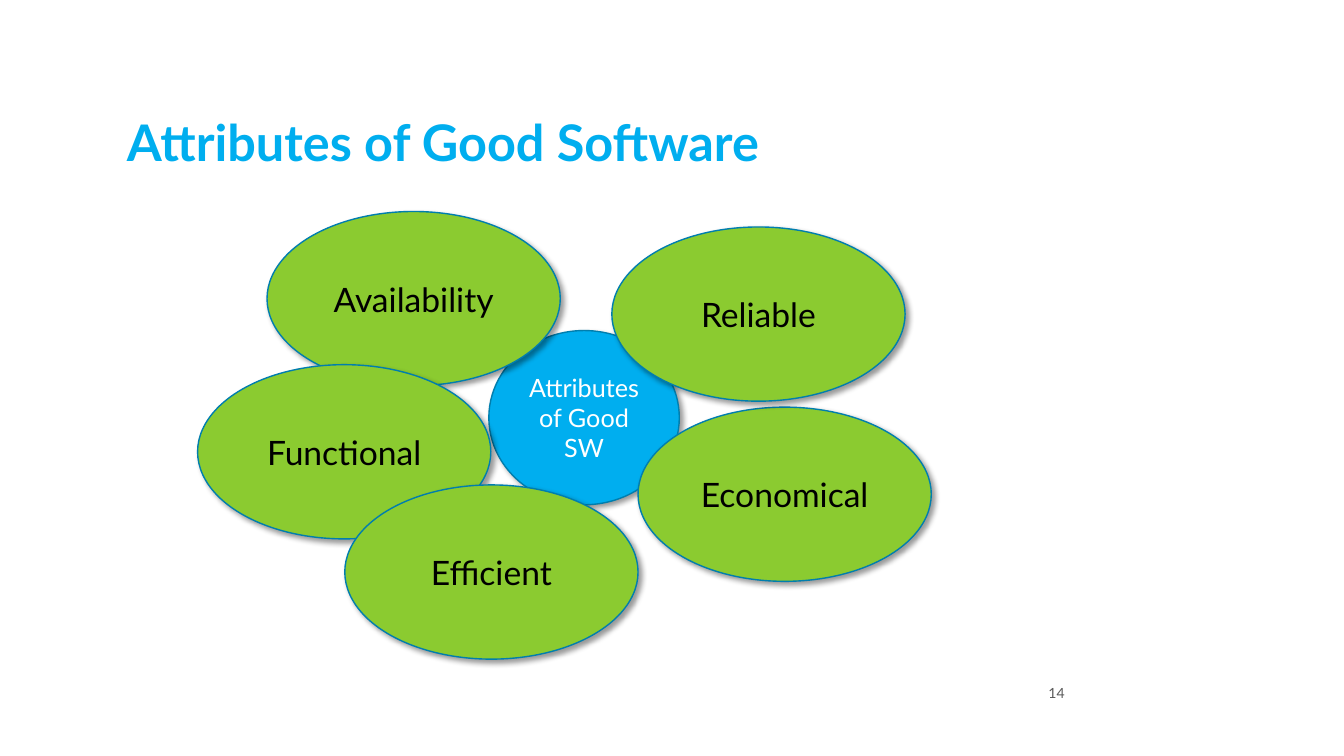
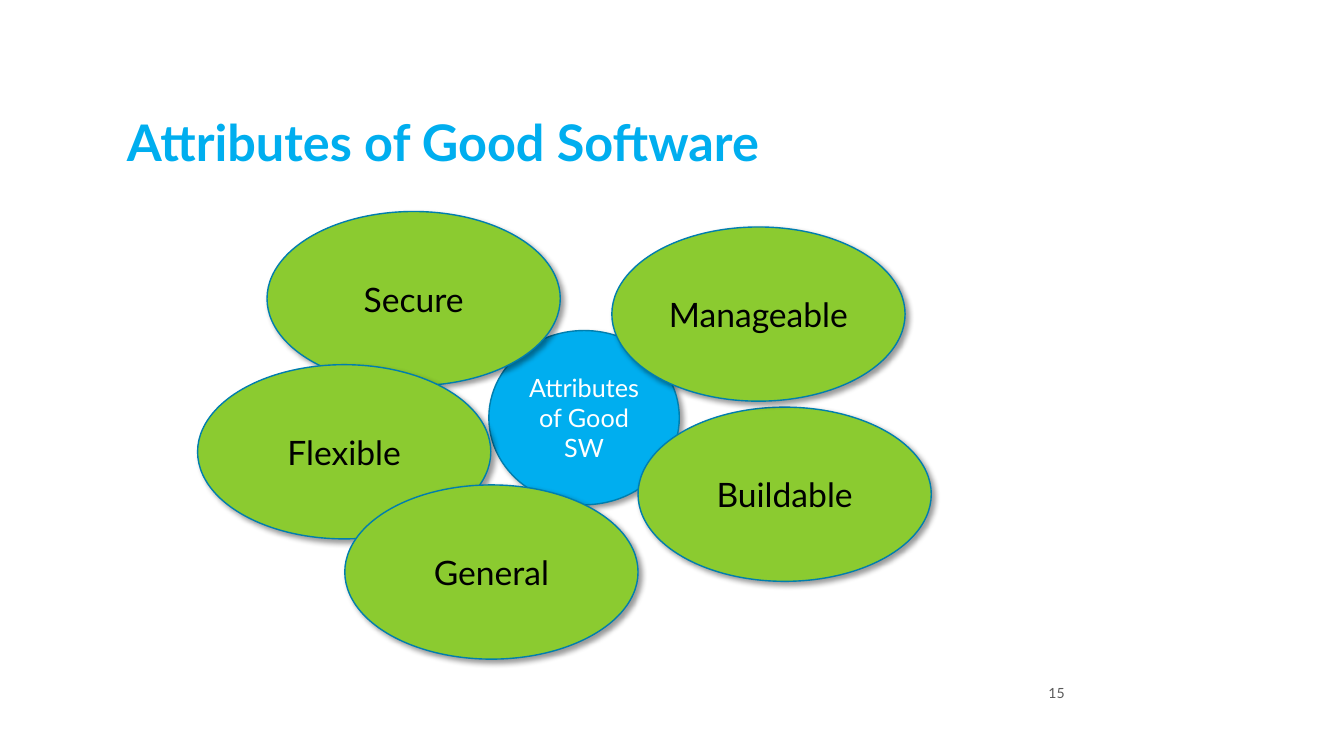
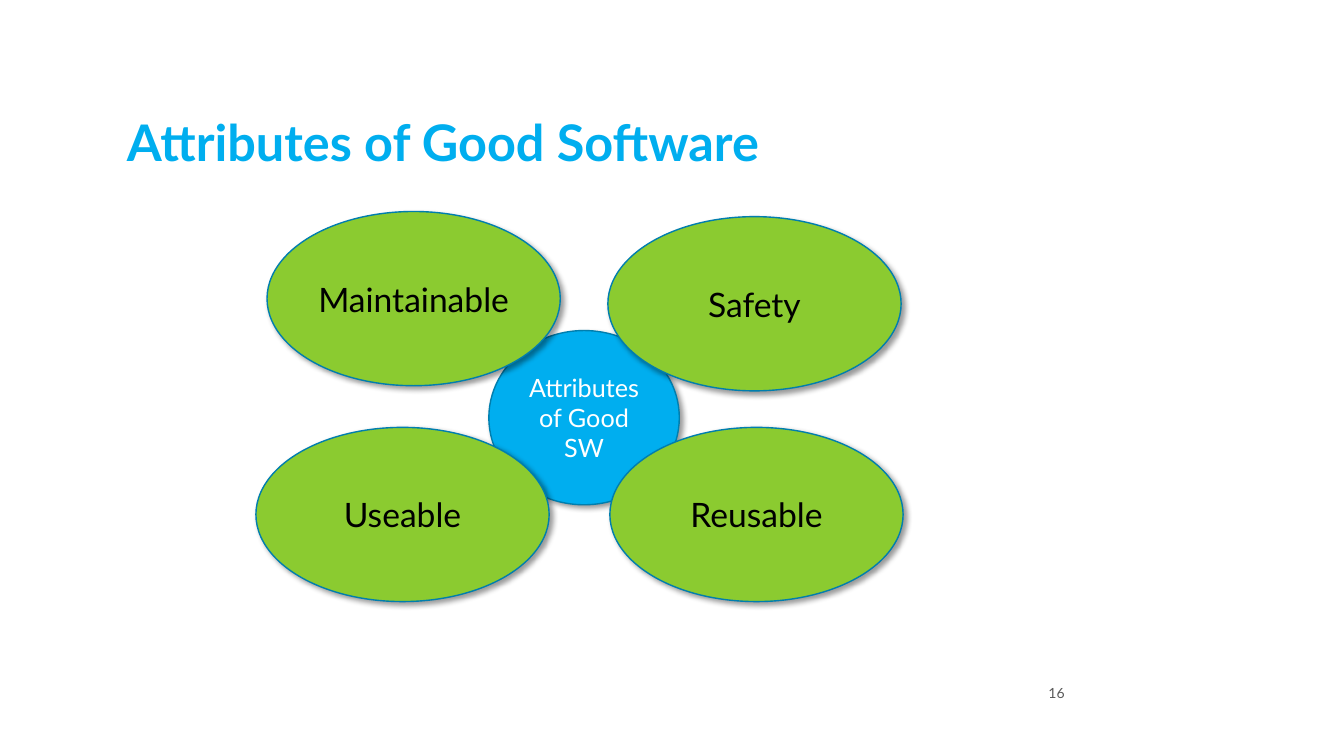
from dataclasses import dataclass

from lxml.etree import SubElement
from pptx import Presentation
from pptx.dml.color import RGBColor
from pptx.enum.shapes import MSO_SHAPE as Preset
from pptx.enum.text import MSO_ANCHOR as Anchor, PP_ALIGN as Align
from pptx.oxml.ns import qn
from pptx.util import Cm, Pt


@dataclass(frozen=True)
class Theme:
    """Colours, font and type sizes shared by all slides."""
    font: str = "Lato"
    blue: str = "00AEEF"
    green: str = "8BCB30"
    outline: str = "007EAE"
    black: str = "000000"
    white: str = "FFFFFF"
    grey: str = "595959"
    title_size: int = 36
    petal_size: int = 24
    hub_size: int = 18
    number_size: int = 10


THEME = Theme()
TITLE = "Attributes of Good Software"
HUB_TEXT = "Attributes of Good SW"
TITLE_BOX = (2.95, 1.47, 24.13, 2.97)
NUMBER_BOX = (23.7, 17.09, 3.38, 0.76)
HUB_BOX = (12.32, 8.33, 4.8, 4.39)
PETAL_SIZE = (7.39, 4.39)
FIRST_NUMBER = 14

FIVE_PETALS = [(6.73, 5.33), (4.98, 9.19), (8.69, 12.22), (16.08, 10.26), (15.42, 5.72)]
FOUR_PETALS = [(6.73, 5.33), (6.45, 10.77), (15.37, 10.77), (15.32, 5.46)]
SLIDES = [
    (FIVE_PETALS, ["Availability", "Functional", "Efficient", "Economical", "Reliable"]),
    (FIVE_PETALS, ["Secure", "Flexible", "General", "Buildable", "Manageable"]),
    (FOUR_PETALS, ["Maintainable", "Useable", "Reusable", "Safety"]),
]


def write_text(shape, text, size, color, align, anchor, bold=False):
    """Put one styled run into a shape and return its paragraph."""
    frame = shape.text_frame
    frame.word_wrap = True
    frame.vertical_anchor = anchor
    paragraph = frame.paragraphs[0]
    paragraph.alignment = align
    run = paragraph.add_run()
    run.text = text
    run.font.name = THEME.font
    run.font.size = Pt(size)
    run.font.bold = bold
    run.font.color.rgb = RGBColor.from_string(color)
    return paragraph


def add_shadow(shape):
    """Give a shape a soft shadow towards the lower right."""
    shape.shadow.inherit = False
    effects = shape._element.spPr.find(qn("a:effectLst"))
    shadow = SubElement(effects, qn("a:outerShdw"), blurRad=str(Pt(4)), dist=str(Pt(3)),
                        dir=str(45 * 60000), algn="tl", rotWithShape="0")
    color = SubElement(shadow, qn("a:srgbClr"), val=THEME.black)
    SubElement(color, qn("a:alpha"), val="40000")


def add_ellipse(slide, box, text, fill, size, color):
    """Draw an outlined ellipse with a shadow and a centred label."""
    shape = slide.shapes.add_shape(Preset.OVAL, *map(Cm, box))
    shape.fill.solid()
    shape.fill.fore_color.rgb = RGBColor.from_string(fill)
    shape.line.color.rgb = RGBColor.from_string(THEME.outline)
    shape.line.width = Pt(1)
    add_shadow(shape)
    write_text(shape, text, size, color, Align.CENTER, Anchor.MIDDLE)
    return shape


def add_petal(slide, position, text):
    """Draw one green attribute ellipse."""
    petal = add_ellipse(slide, position + PETAL_SIZE, text,
                        THEME.green, THEME.petal_size, THEME.black)
    petal.text_frame.margin_left = petal.text_frame.margin_right = 0


def add_title(slide):
    """Write the slide title."""
    box = slide.shapes.add_textbox(*map(Cm, TITLE_BOX))
    paragraph = write_text(box, TITLE, THEME.title_size, THEME.blue,
                           Align.LEFT, Anchor.BOTTOM, bold=True)
    paragraph.line_spacing = 0.8


def add_number(slide, number):
    """Write the slide number at the lower right."""
    box = slide.shapes.add_textbox(*map(Cm, NUMBER_BOX))
    write_text(box, str(number), THEME.number_size, THEME.grey, Align.RIGHT, Anchor.MIDDLE)


def add_attribute_slide(presentation, number, positions, labels):
    """Add a slide with attributes arranged around the hub."""
    slide = presentation.slides.add_slide(presentation.slide_layouts[6])
    add_title(slide)
    add_ellipse(slide, HUB_BOX, HUB_TEXT, THEME.blue, THEME.hub_size, THEME.white)
    for position, label in zip(positions, labels):
        add_petal(slide, position, label)
    add_number(slide, number)


def main():
    """Build and save the presentation."""
    presentation = Presentation()
    presentation.slide_width = Cm(33.87)
    presentation.slide_height = Cm(19.05)
    for number, (positions, labels) in enumerate(SLIDES, FIRST_NUMBER):
        add_attribute_slide(presentation, number, positions, labels)
    presentation.save("out.pptx")


if __name__ == "__main__":
    main()
